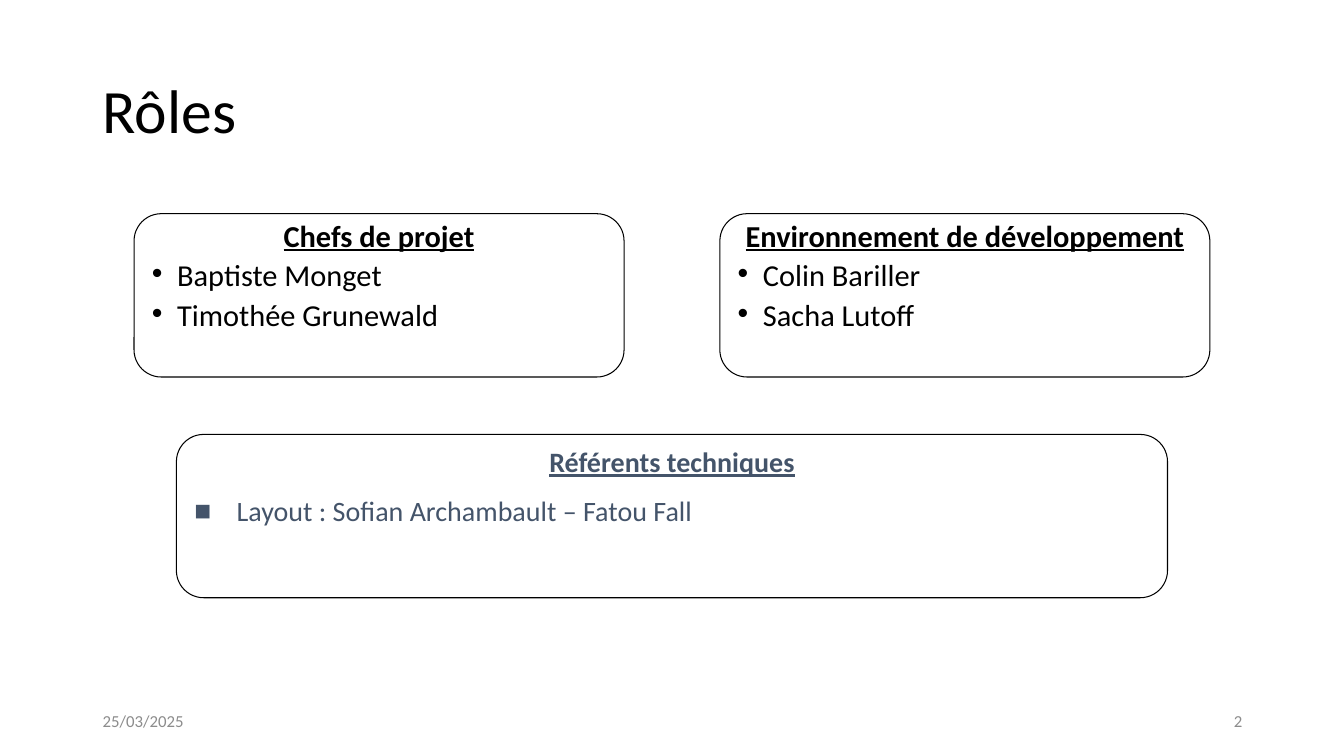
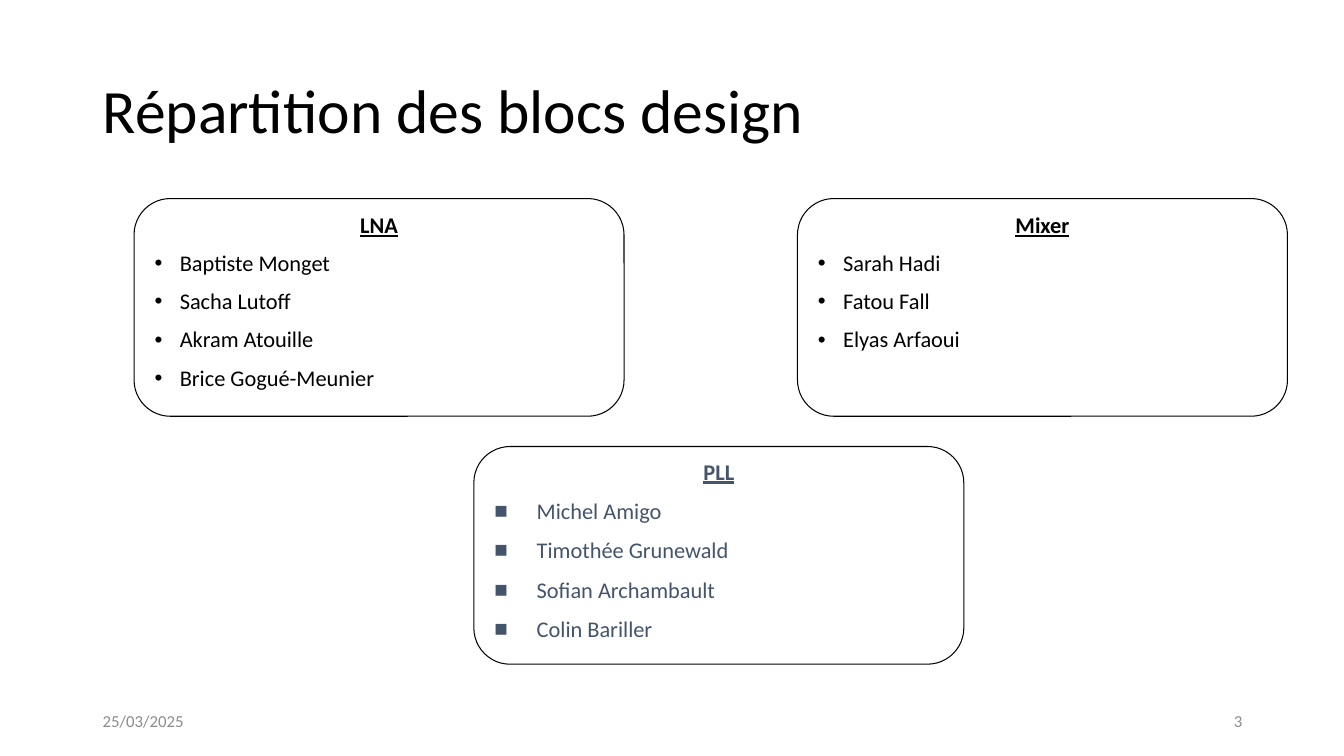
import pptx
import pptx.util
import pptx.dml.color
import pptx.enum.shapes
import pptx.enum.text
import pptx.oxml.ns
import lxml.etree

Inches = pptx.util.Inches
Pt = pptx.util.Pt
RGBColor = pptx.dml.color.RGBColor
ALIGN = pptx.enum.text.PP_ALIGN
ANCHOR = pptx.enum.text.MSO_ANCHOR

BLACK = RGBColor(0x00, 0x00, 0x00)
SLATE = RGBColor(0x44, 0x54, 0x6A)
GREY = RGBColor(0x8C, 0x8C, 0x8C)
FONT = "Calibri"
DATE = "25/03/2025"

MARGIN = 0.92
CARD_LEFT = 1.33
CARD_WIDTH = 4.86

DOT = {"color": BLACK, "bullet": "•", "indent": 0.25, "after": 0}
SQUARE = {"color": SLATE, "bullet": "■", "indent": 0.42, "after": 2}


def set_bullet(paragraph, character, indent):
    properties = paragraph._p.get_or_add_pPr()
    properties.set("marL", str(Inches(indent)))
    properties.set("indent", str(-Inches(indent)))
    for tag, name, value in (("a:buFont", "typeface", "Arial"), ("a:buChar", "char", character)):
        element = lxml.etree.SubElement(properties, pptx.oxml.ns.qn(tag))
        element.set(name, value)


def write_text(paragraph, text, size, color=BLACK, align=ALIGN.LEFT, heading=False,
               spacing=1.0, before=0, after=0, bullet=None, indent=0):
    paragraph.alignment = align
    paragraph.line_spacing = spacing
    paragraph.space_before = Pt(before)
    paragraph.space_after = Pt(after)
    if bullet:
        set_bullet(paragraph, bullet, indent)
    run = paragraph.add_run()
    run.text = text
    run.font.name = FONT
    run.font.size = Pt(size)
    run.font.color.rgb = color
    run.font.bold = heading
    run.font.underline = heading


def add_label(slide, box, text, size, **text_format):
    """Add one line of text, centred vertically in its box."""
    frame = slide.shapes.add_textbox(*map(Inches, box)).text_frame
    frame.word_wrap = True
    frame.vertical_anchor = ANCHOR.MIDDLE
    write_text(frame.paragraphs[0], text, size, **text_format)


def add_card(slide, box, heading, members, size, spacing, style):
    """Add a rounded outline holding a centred heading and a bulleted list."""
    card = slide.shapes.add_shape(
        pptx.enum.shapes.MSO_SHAPE.ROUNDED_RECTANGLE, *map(Inches, box))
    card.shadow.inherit = False
    card.fill.background()
    card.line.color.rgb = BLACK
    card.line.width = Pt(0.75)
    frame = card.text_frame
    frame.word_wrap = True
    frame.vertical_anchor = ANCHOR.TOP
    shared = {"size": size, "color": style["color"], "spacing": spacing,
              "before": 10, "after": style["after"]}
    write_text(frame.paragraphs[0], heading, align=ALIGN.CENTER, heading=True, **shared)
    for member in members:
        write_text(frame.add_paragraph(), member, bullet=style["bullet"],
                   indent=style["indent"], **shared)


def add_titled_slide(presentation, title, number):
    """Add a blank slide with the shared title, date and page number."""
    slide = presentation.slides.add_slide(presentation.slide_layouts[6])
    add_label(slide, (MARGIN, 0.4, 11.5, 1.45), title, 44, spacing=0.9)
    add_label(slide, (MARGIN, 6.95, 3, 0.4), DATE, 12, color=GREY)
    add_label(slide, (9.42, 6.95, 3, 0.4), str(number), 12, color=GREY, align=ALIGN.RIGHT)
    return slide


def add_roles_slide(presentation):
    slide = add_titled_slide(presentation, "Rôles", 2)
    top, height = 2.12, 1.62
    for left, heading, members in (
        (CARD_LEFT, "Chefs de projet", ["Baptiste Monget", "Timothée Grunewald"]),
        (7.14, "Environnement de développement", ["Colin Bariller", "Sacha Lutoff"]),
    ):
        add_card(slide, (left, top, CARD_WIDTH, height), heading, members, 21.7, 0.7, DOT)
    add_card(slide, (1.75, 4.31, 9.83, height), "Référents techniques",
             ["Layout : Sofian Archambault – Fatou Fall"], 20, 0.94, SQUARE)


def add_design_blocks_slide(presentation):
    slide = add_titled_slide(presentation, "Répartition des blocs design", 3)
    for left, top, heading, members, spacing, style in (
        (CARD_LEFT, 1.97, "LNA",
         ["Baptiste Monget", "Sacha Lutoff", "Akram Atouille", "Brice Gogué-Meunier"], 0.9, DOT),
        (7.91, 1.97, "Mixer", ["Sarah Hadi", "Fatou Fall", "Elyas Arfaoui"], 0.9, DOT),
        (4.7, 4.43, "PLL",
         ["Michel Amigo", "Timothée Grunewald", "Sofian Archambault", "Colin Bariller"],
         0.84, SQUARE),
    ):
        add_card(slide, (left, top, CARD_WIDTH, 2.16), heading, members, 16, spacing, style)


def main():
    presentation = pptx.Presentation()
    presentation.slide_width = Inches(13.33)
    presentation.slide_height = Inches(7.5)
    add_roles_slide(presentation)
    add_design_blocks_slide(presentation)
    presentation.save("out.pptx")


if __name__ == "__main__":
    main()
